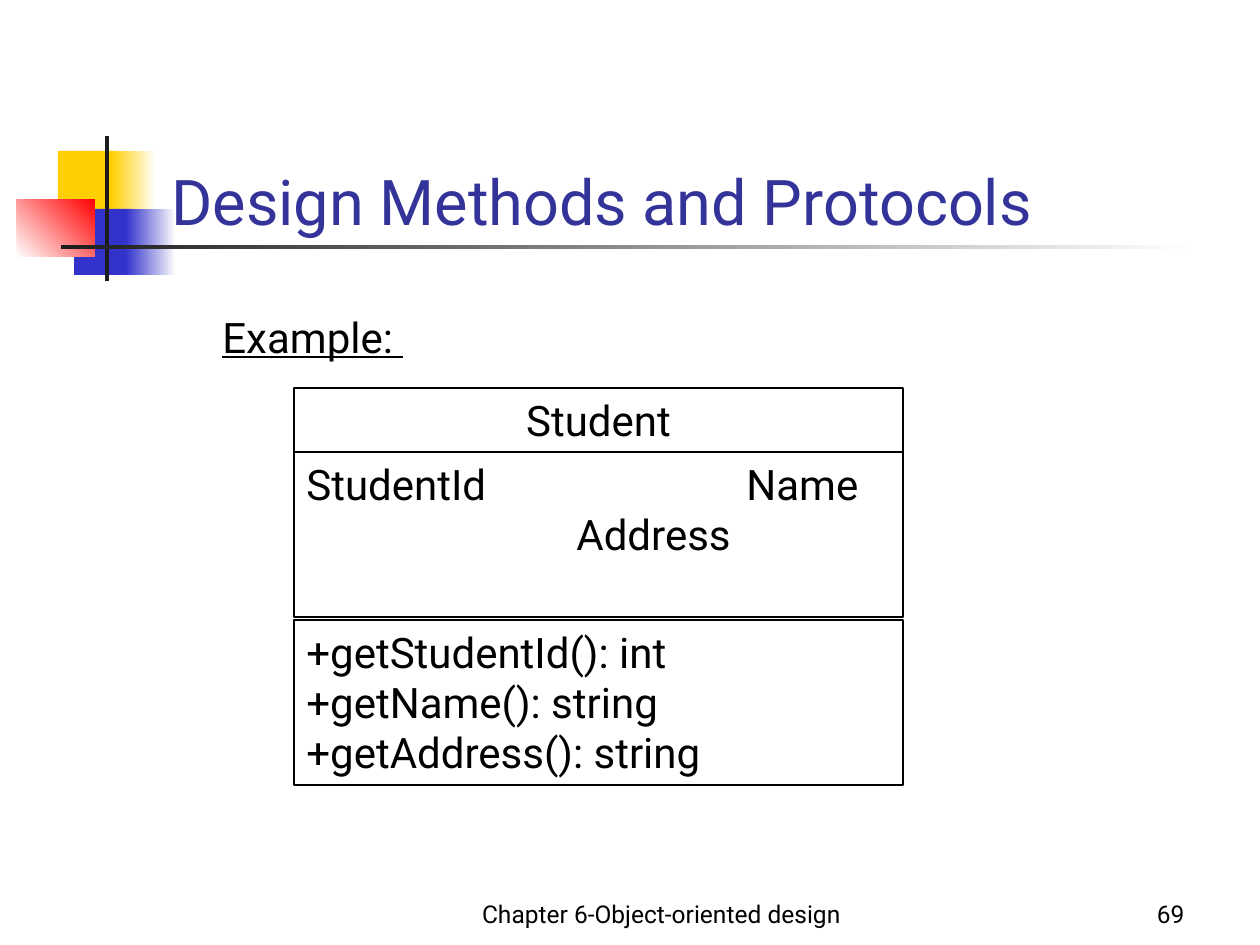
from dataclasses import dataclass

from lxml import etree
from pptx import Presentation
from pptx.dml.color import RGBColor
from pptx.enum.shapes import MSO_SHAPE
from pptx.enum.text import MSO_ANCHOR, PP_ALIGN
from pptx.oxml.ns import qn
from pptx.util import Pt

RECTANGLE = MSO_SHAPE.RECTANGLE
TOP, BOTTOM = MSO_ANCHOR.TOP, MSO_ANCHOR.BOTTOM
LEFT, CENTER, RIGHT = PP_ALIGN.LEFT, PP_ALIGN.CENTER, PP_ALIGN.RIGHT
PX = 914400 / 126


@dataclass(frozen=True)
class Theme:
    font: str = "Roboto"
    title_size: int = 36
    body_size: int = 24
    footer_size: int = 14
    title: str = "333399"
    text: str = "000000"
    white: str = "FFFFFF"
    yellow: str = "FFCF01"
    blue: str = "3333CC"
    red: str = "FF0000"
    dark: str = "1C1C1C"


THEME = Theme()


def px(*lengths):
    """Turn pixel lengths into EMU."""
    return [round(length * PX) for length in lengths]


def write(shape, text, size=THEME.body_size, color=THEME.text, align=LEFT,
          anchor=TOP, underline=False, tab=None, last_indent=0):
    """Fill a shape with text, one paragraph a line; tab and last_indent are in px."""
    frame = shape.text_frame
    frame.word_wrap = True
    frame.vertical_anchor = anchor
    frame.text = text
    for paragraph in frame.paragraphs:
        paragraph.alignment = align
        if tab:
            tabs = etree.SubElement(paragraph._p.get_or_add_pPr(), qn("a:tabLst"))
            etree.SubElement(tabs, qn("a:tab"), pos=str(px(tab)[0]), algn="l")
        for run in paragraph.runs:
            run.font.name = THEME.font
            run.font.size = Pt(size)
            run.font.color.rgb = RGBColor.from_string(color)
            run.font.underline = underline
    if last_indent:
        properties = frame.paragraphs[-1]._p.get_or_add_pPr()
        properties.set("marL", str(px(last_indent)[0]))
        properties.set("indent", "0")


presentation = Presentation()
presentation.slide_width, presentation.slide_height = px(1260, 945)
slide = presentation.slides.add_slide(presentation.slide_layouts[6])

# Ornament beside and below the title: box, colours from start to end, angle
ornament = [
    ((58, 151, 60, 66), [THEME.yellow], 0),
    ((111, 151, 45, 66), [THEME.yellow, THEME.white], 0),
    ((74, 209, 58, 66), [THEME.blue], 0),
    ((126, 209, 50, 66), [THEME.blue, THEME.white], 0),
    ((17, 199, 78, 58), [THEME.white, THEME.red], 45),
    ((105, 136, 4, 145), [THEME.dark], 0),
    ((61, 245, 1134, 4), [THEME.dark, THEME.white], 0),
]
for box, colors, angle in ornament:
    shape = slide.shapes.add_shape(RECTANGLE, *px(*box))
    shape.shadow.inherit = False
    shape.line.fill.background()
    if len(colors) == 1:
        shape.fill.solid()
        shape.fill.fore_color.rgb = RGBColor.from_string(colors[0])
    else:
        shape.fill.gradient()
        shape.fill.gradient_angle = angle
        for stop, color in zip(shape.fill.gradient_stops, colors):
            stop.color.rgb = RGBColor.from_string(color)

# Title, footer and heading
labels = [
    ((159, 86, 1074, 158), "Design Methods and Protocols",
     dict(size=THEME.title_size, color=THEME.title, anchor=BOTTOM)),
    ((462, 872, 399, 63), "Chapter 6-Object-oriented design",
     dict(size=THEME.footer_size, align=CENTER, anchor=BOTTOM)),
    ((935, 872, 262, 63), "69",
     dict(size=THEME.footer_size, align=RIGHT, anchor=BOTTOM)),
    ((210, 305, 231, 63), "Example: ", dict(underline=True)),
]
for box, text, text_format in labels:
    write(slide.shapes.add_textbox(*px(*box)), text, **text_format)

# Class diagram: name, attributes, operations
compartments = [
    (388, 64, "Student", dict(align=CENTER)),
    (452, 165, "StudentId\tName\nAddress", dict(tab=440, last_indent=270)),
    (620, 165, "+getStudentId(): int\n+getName(): string\n+getAddress(): string", {}),
]
for top, height, text, text_format in compartments:
    shape = slide.shapes.add_shape(RECTANGLE, *px(294, top, 609, height))
    shape.shadow.inherit = False
    shape.fill.background()
    shape.line.color.rgb = RGBColor.from_string(THEME.text)
    shape.line.width = Pt(0.75)
    write(shape, text, **text_format)

presentation.save("out.pptx")
